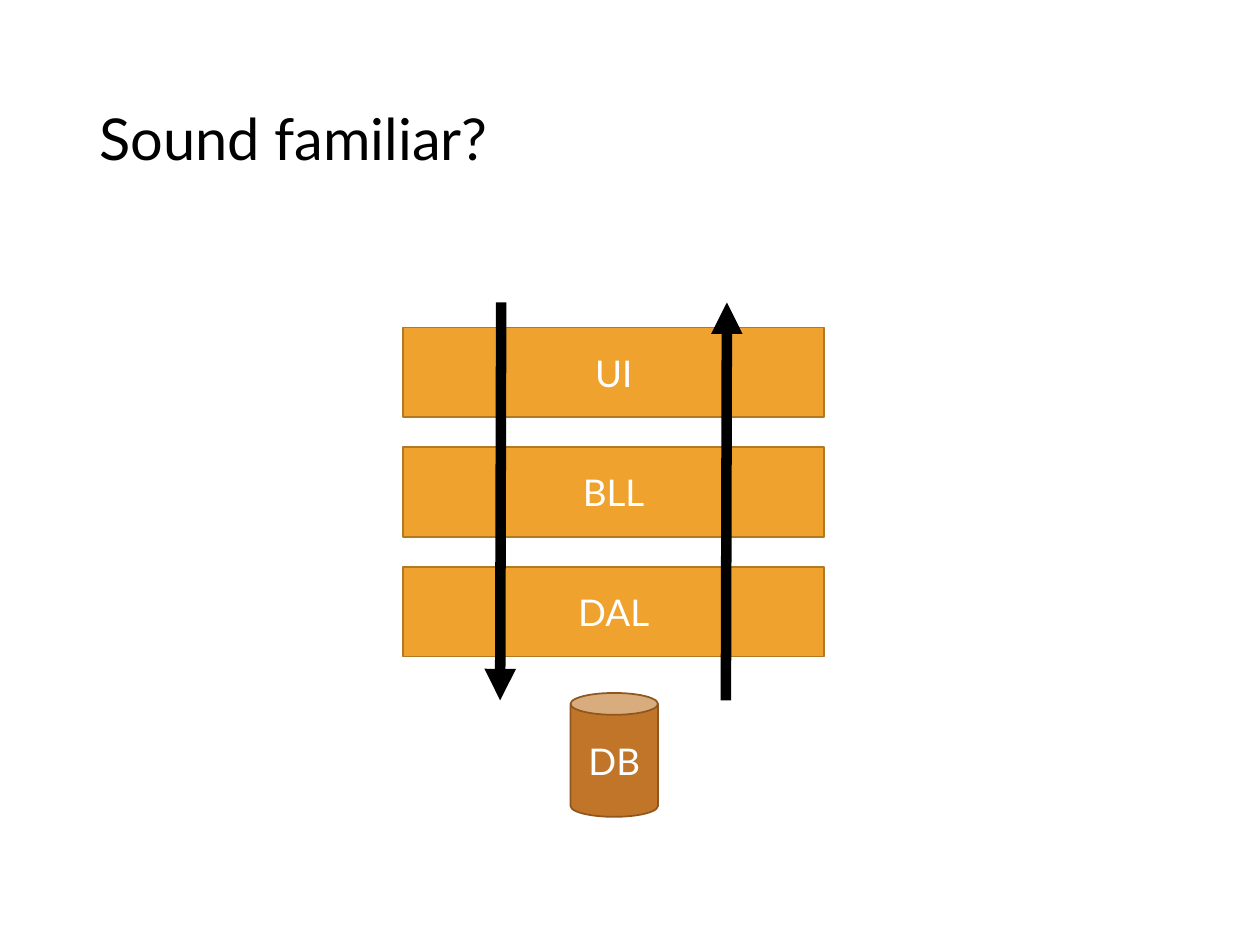
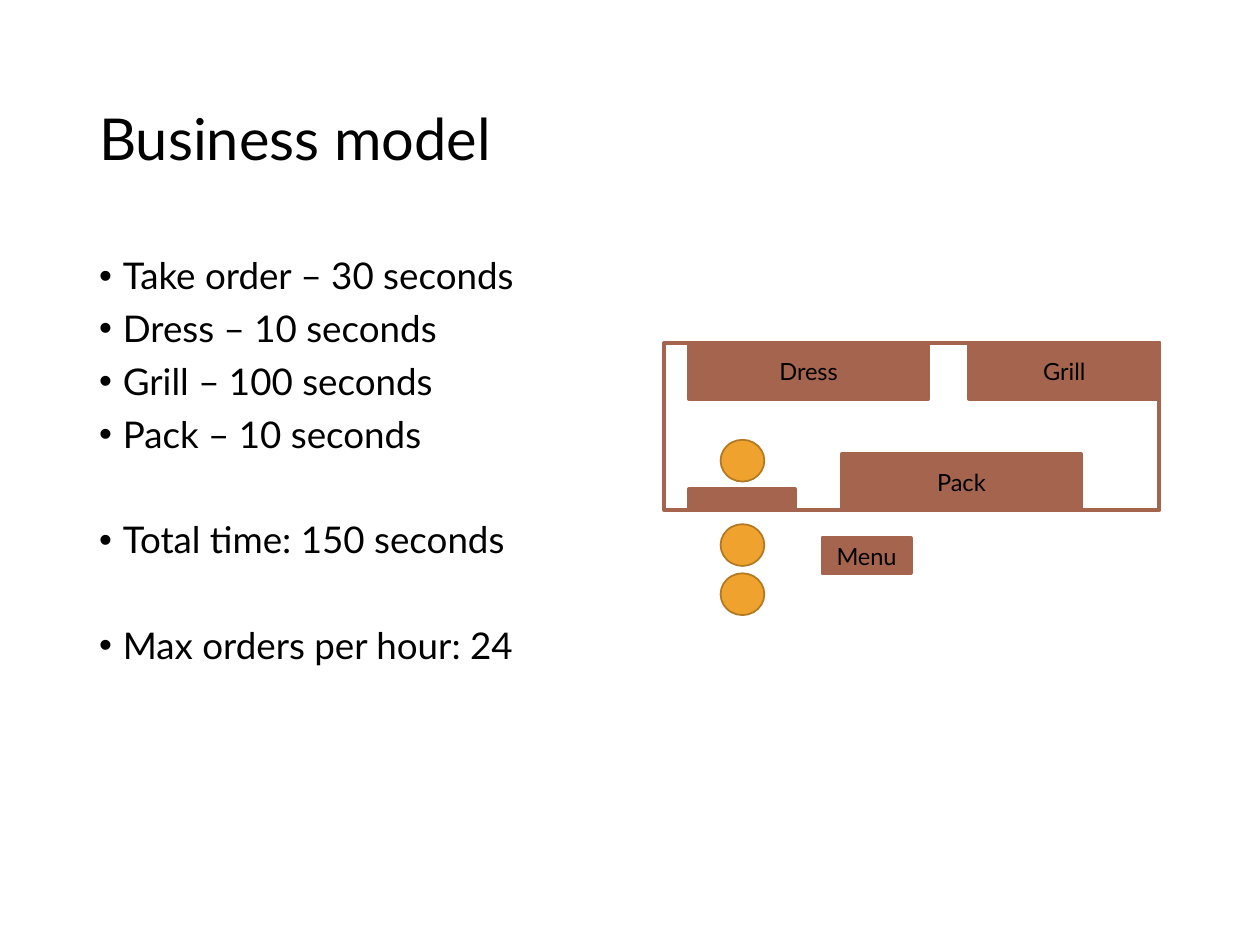
from dataclasses import dataclass

from lxml.etree import SubElement
from pptx import Presentation
from pptx.dml.color import RGBColor
from pptx.enum.shapes import MSO_CONNECTOR as Connector, MSO_SHAPE as Shape
from pptx.enum.text import MSO_ANCHOR as Anchor, MSO_AUTO_SIZE as AutoSize, PP_ALIGN as Align
from pptx.oxml.ns import qn
from pptx.util import Pt


@dataclass(frozen=True)
class Theme:
    font: str = "Lato"
    black: str = "000000"
    white: str = "FFFFFF"
    orange: str = "F0A22E"
    orange_edge: str = "B27822"
    copper: str = "C17529"
    copper_edge: str = "8F571E"
    brown: str = "A5644E"
    title_size: float = 33
    body_size: float = 21
    label_size: float = 13.5
    thin: float = 1
    wall: float = 2.25
    arrow: float = 6
    line_spacing: float = 0.9
    bullet_indent: float = 13.5
    bullet_gap: float = 7.5


THEME = Theme()
TITLE_BOX = (49.5, 28.75, 621, 104.4)
BODY_BOX = (49.5, 143.75, 621, 342.6)

LAYERS_TITLE = "Sound familiar?"
LAYERS = ["UI", "BLL", "DAL"]
FIRST_LAYER = (230.4, 187.2, 240.6, 51.2)
LAYER_PITCH = 68.4
DATABASE = ("DB", (326, 396, 50, 70.8))
ARROWS = [((286.4, 172.8), (285.8, 400.2)), ((414.8, 400.2), (415.4, 172.8))]

MODEL_TITLE = "Business model"
MODEL_GROUPS = [
    ["Take order – 30 seconds", "Dress – 10 seconds", "Grill – 100 seconds", "Pack – 10 seconds"],
    ["Total time: 150 seconds"],
    ["Max orders per hour: 24"],
]
KITCHEN = (379.6, 195.9, 283, 95.6)
STATIONS = [
    ("", (393.7, 279.4, 60.5, 12.1)),
    ("Dress", (393.7, 195.9, 136.8, 32)),
    ("Pack", (481, 259.4, 136.8, 32)),
    ("Grill", (553.8, 195.9, 108.8, 32)),
    ("Menu", (470, 307.4, 50.4, 20.2)),
]
PERSON_LEFT, PERSON_WIDTH, PERSON_HEIGHT = 411.8, 25, 23.9
PERSON_TOPS = [251.3, 299.5, 327.6]


def points(values):
    return [Pt(value) for value in values]


def color(value):
    return RGBColor.from_string(value)


def write(frame, lines, size, ink, align=Align.LEFT, anchor=Anchor.MIDDLE,
          spacing=1.0, gaps=None, bullet=False, wrap=True):
    frame.word_wrap = wrap
    frame.auto_size = AutoSize.NONE
    frame.vertical_anchor = anchor
    for index, line in enumerate(lines):
        paragraph = frame.paragraphs[0] if index == 0 else frame.add_paragraph()
        paragraph.alignment = align
        paragraph.line_spacing = spacing
        paragraph.space_before = Pt(gaps[index] if gaps else 0)
        if bullet:
            properties = paragraph._p.get_or_add_pPr()
            properties.set("marL", str(Pt(THEME.bullet_indent)))
            properties.set("indent", str(-Pt(THEME.bullet_indent)))
            SubElement(properties, qn("a:buFont")).set("typeface", "Arial")
            SubElement(properties, qn("a:buChar")).set("char", "•")
        run = paragraph.add_run()
        run.text = line
        run.font.name = THEME.font
        run.font.size = Pt(size)
        run.font.color.rgb = color(ink)


def place(placeholder, box):
    placeholder.left, placeholder.top, placeholder.width, placeholder.height = points(box)
    return placeholder.text_frame


def add_titled_slide(presentation, layout, title):
    slide = presentation.slides.add_slide(presentation.slide_layouts[layout])
    write(place(slide.shapes.title, TITLE_BOX), [title], THEME.title_size, THEME.black,
          spacing=THEME.line_spacing)
    return slide


def draw(shapes, kind, box, fill, edge, edge_width=THEME.thin,
         label="", size=THEME.body_size, ink=THEME.white):
    shape = shapes.add_shape(kind, *points(box))
    shape.shadow.inherit = False
    shape.fill.solid()
    shape.fill.fore_color.rgb = color(fill)
    shape.line.color.rgb = color(edge)
    shape.line.width = Pt(edge_width)
    if label:
        write(shape.text_frame, [label], size, ink, align=Align.CENTER, wrap=False)


def draw_arrow(shapes, start, end):
    arrow = shapes.add_connector(Connector.STRAIGHT, *points(start + end))
    arrow.line.color.rgb = color(THEME.black)
    arrow.line.width = Pt(THEME.arrow)
    SubElement(arrow.line._get_or_add_ln(), qn("a:tailEnd")).set("type", "triangle")
    SubElement(arrow._element.spPr, qn("a:effectLst"))


def build_layers(presentation):
    shapes = add_titled_slide(presentation, 5, LAYERS_TITLE).shapes
    left, top, width, height = FIRST_LAYER
    for index, name in enumerate(LAYERS):
        draw(shapes, Shape.RECTANGLE, (left, top + index * LAYER_PITCH, width, height),
             THEME.orange, THEME.orange_edge, label=name)
    name, box = DATABASE
    draw(shapes, Shape.CAN, box, THEME.copper, THEME.copper_edge, label=name)
    for start, end in ARROWS:
        draw_arrow(shapes, start, end)


def build_model(presentation):
    slide = add_titled_slide(presentation, 1, MODEL_TITLE)
    blank_line = THEME.body_size * 1.2 * THEME.line_spacing
    group_gap = round(2 * THEME.bullet_gap + blank_line, 1)
    lines = [line for group in MODEL_GROUPS for line in group]
    gaps = [THEME.bullet_gap if index else group_gap
            for group in MODEL_GROUPS for index in range(len(group))]
    gaps[0] = 0
    write(place(slide.placeholders[1], BODY_BOX), lines, THEME.body_size, THEME.black,
          anchor=Anchor.TOP, spacing=THEME.line_spacing, gaps=gaps, bullet=True)

    shapes = slide.shapes.add_group_shape().shapes
    draw(shapes, Shape.RECTANGLE, KITCHEN, THEME.white, THEME.brown, THEME.wall)
    for top in PERSON_TOPS:
        draw(shapes, Shape.OVAL, (PERSON_LEFT, top, PERSON_WIDTH, PERSON_HEIGHT),
             THEME.orange, THEME.orange_edge)
    for name, box in STATIONS:
        draw(shapes, Shape.RECTANGLE, box, THEME.brown, THEME.brown, THEME.wall,
             label=name, size=THEME.label_size, ink=THEME.black)


def main():
    presentation = Presentation()
    presentation.slide_width, presentation.slide_height = Pt(720), Pt(540)
    build_layers(presentation)
    build_model(presentation)
    presentation.save("out.pptx")


if __name__ == "__main__":
    main()
